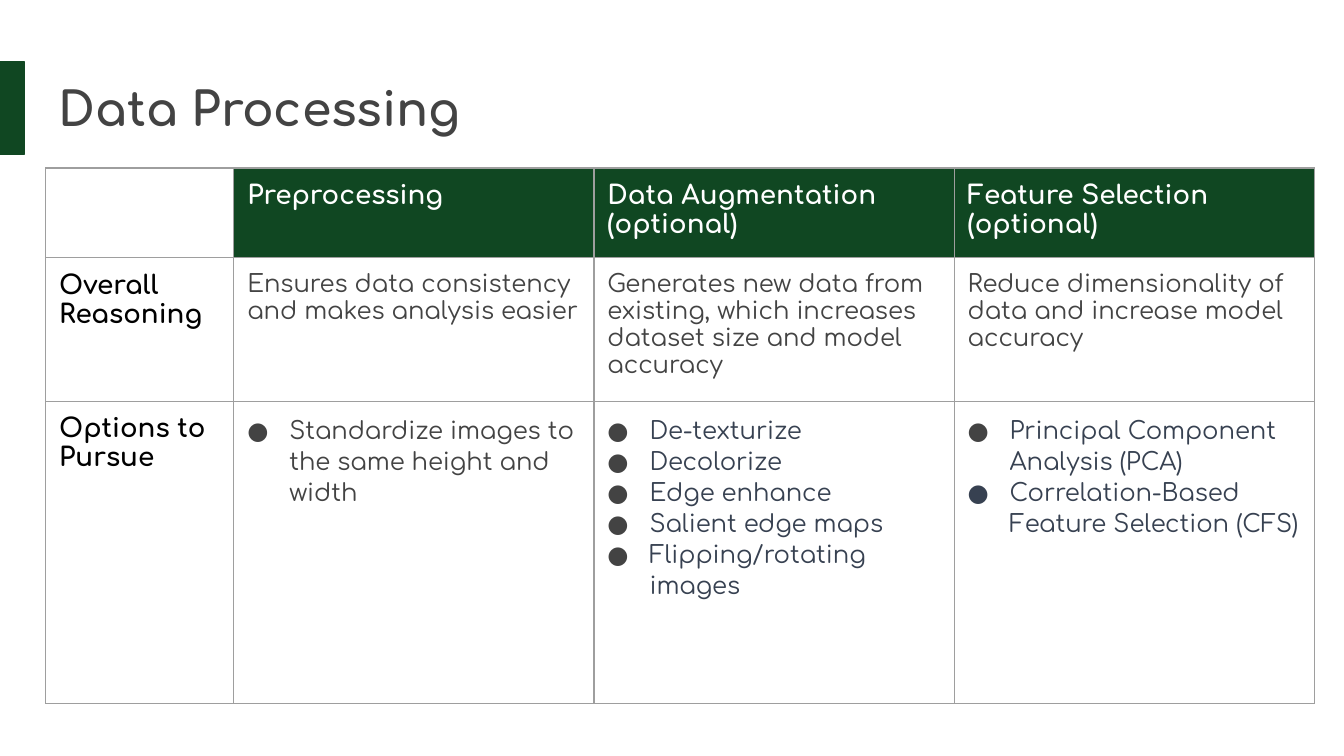
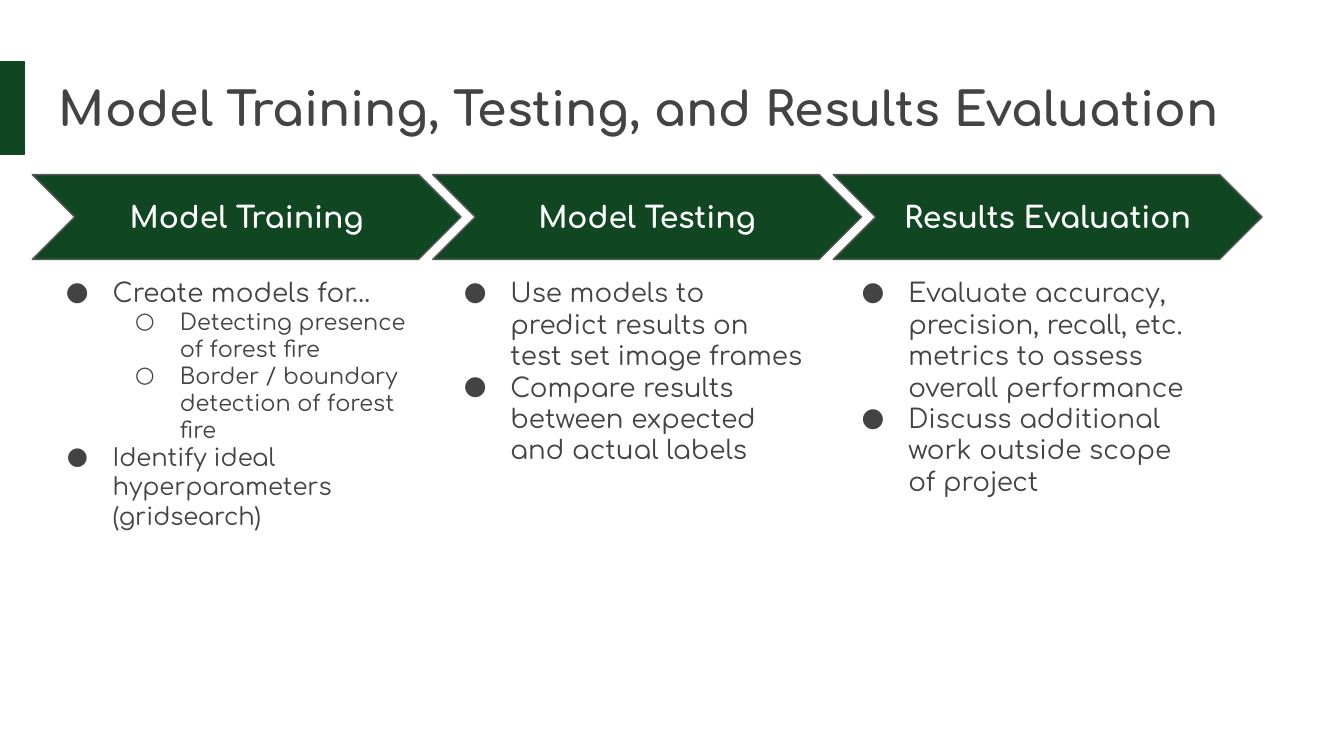
from dataclasses import dataclass

from lxml.etree import SubElement
from pptx import Presentation
from pptx.dml.color import RGBColor
from pptx.enum.shapes import MSO_SHAPE
from pptx.enum.text import MSO_ANCHOR, PP_ALIGN
from pptx.oxml.ns import qn
from pptx.util import Pt

FONT = "Comfortaa"
GREEN, GRAY, SLATE = "104722", "434343", "374151"
WHITE, BLACK, EDGE, RULE = "FFFFFF", "000000", "595959", "9E9E9E"
INSET = 7.2
LEFT = 24.48


@dataclass
class Line:
    """One paragraph with its format."""
    text: str
    size: float = 13
    color: str = GRAY
    bold: bool = False
    bullet: str = ""
    dot: str = GRAY
    margin: float = 36
    level: int = 0
    space: float = 1
    align: PP_ALIGN = PP_ALIGN.LEFT


@dataclass
class Box:
    """A place on the slide, in points."""
    left: float
    top: float
    width: float
    height: float

    def spot(self) -> list:
        return [Pt(v) for v in (self.left, self.top, self.width, self.height)]


@dataclass
class Stage:
    """One step of the process: arrow label and points below it."""
    name: str
    points: list


def rgb(code: str) -> RGBColor:
    return RGBColor.from_string(code)


def apply(item, values: dict) -> None:
    for name, value in values.items():
        setattr(item, name, value)


def mark(para, line: Line) -> None:
    """Hang a bullet; the indent grows with the text size."""
    props = para._p.get_or_add_pPr()
    props.set("marL", str(Pt(line.margin)))
    props.set("indent", str(-Pt(18 + line.size / 2)))
    tint = SubElement(props, qn("a:buClr"))
    SubElement(tint, qn("a:srgbClr"), val=line.dot)
    SubElement(props, qn("a:buFont"), typeface=FONT)
    SubElement(props, qn("a:buChar"), char=line.bullet)


def write(frame, lines: list) -> None:
    for i, line in enumerate(lines):
        para = frame.paragraphs[0] if i == 0 else frame.add_paragraph()
        apply(para, {"alignment": line.align, "level": line.level,
                     "line_spacing": line.space})
        if line.bullet:
            mark(para, line)
        run = para.add_run()
        run.text = line.text
        apply(run.font, {"name": FONT, "size": Pt(line.size), "bold": line.bold})
        run.font.color.rgb = rgb(line.color)


def fit(frame, anchor: MSO_ANCHOR) -> None:
    sides = ("left", "top", "right", "bottom")
    apply(frame, {f"margin_{side}": Pt(INSET) for side in sides})
    apply(frame, {"word_wrap": True, "vertical_anchor": anchor})


def draw(slide, kind: MSO_SHAPE, box: Box, fill: str, edge: str = "",
         lines: tuple = (), anchor: MSO_ANCHOR = MSO_ANCHOR.TOP) -> None:
    shape = slide.shapes.add_shape(kind, *box.spot())
    shape.shadow.inherit = False
    shape.fill.solid()
    shape.fill.fore_color.rgb = rgb(fill)
    if edge:
        shape.line.color.rgb = rgb(edge)
        shape.line.width = Pt(0.75)
    else:
        shape.line.fill.background()
    fit(shape.text_frame, anchor)
    write(shape.text_frame, lines)


def start(deck, title: str):
    """Add a slide with the side bar and title."""
    slide = deck.slides.add_slide(deck.slide_layouts[6])
    draw(slide, MSO_SHAPE.RECTANGLE, Box(0, 33.12, 12.96, 49.68), GREEN, GREEN)
    text = slide.shapes.add_textbox(*Box(LEFT, 35.28, 671.04, 45.36).spot())
    fit(text.text_frame, MSO_ANCHOR.TOP)
    write(text.text_frame, [Line(title, 25.2, bold=True)])
    return slide


def border(cell) -> None:
    props = cell._tc.get_or_add_tcPr()
    for side in ("lnL", "lnR", "lnT", "lnB"):
        edge = SubElement(props, qn(f"a:{side}"), w=str(Pt(0.75)))
        fill = SubElement(edge, qn("a:solidFill"))
        SubElement(fill, qn("a:srgbClr"), val=RULE)


def grid(slide, rows: list, widths: list, heights: list) -> None:
    box = Box(LEFT, 90, sum(widths), sum(heights))
    table = slide.shapes.add_table(len(rows), len(widths), *box.spot()).table
    apply(table, {"first_row": False, "horz_banding": False})
    for col, width in zip(table.columns, widths):
        col.width = Pt(width)
    for r, (row, height) in enumerate(zip(rows, heights)):
        table.rows[r].height = Pt(height)
        for c, lines in enumerate(row):
            cell = table.cell(r, c)
            border(cell)
            if lines:
                cell.fill.solid()
                cell.fill.fore_color.rgb = rgb(WHITE if r else GREEN)
            else:
                cell.fill.background()
            sides = ("left", "top", "right", "bottom")
            apply(cell, {f"margin_{side}": Pt(INSET) for side in sides})
            write(cell.text_frame, lines)


def head(*texts: str) -> list:
    return [Line(text, 14, WHITE, True) for text in texts]


def label(text: str) -> list:
    return [Line(text, 14, BLACK, True)]


def option(text: str, color: str = SLATE, dot: str = GRAY) -> Line:
    return Line(text, 13, color, bullet="●", dot=dot, margin=22.5, space=1.15)


def point(text: str, size: float = 14) -> Line:
    return Line(text, size, bullet="●")


def sub(text: str) -> Line:
    return Line(text, 12, bullet="○", margin=72, level=1)


def data(deck) -> None:
    slide = start(deck, "Data Processing")
    methods = ["De-texturize", "Decolorize", "Edge enhance",
               "Salient edge maps", "Flipping/rotating images"]
    rows = [
        [[], head("Preprocessing"), head("Data Augmentation", "(optional)"),
         head("Feature Selection", "(optional)")],
        [label("Overall Reasoning"),
         [Line("Ensures data consistency and makes analysis easier")],
         [Line("Generates new data from existing, which increases "
               "dataset size and model accuracy")],
         [Line("Reduce dimensionality of data and increase model accuracy")]],
        [label("Options to Pursue"),
         [option("Standardize images to the same height and width", GRAY)],
         [option(text) for text in methods],
         [option("Principal Component Analysis (PCA)"),
          option("Correlation-Based Feature Selection (CFS)", dot=SLATE)]],
    ]
    grid(slide, rows, [100.8] + [192.96] * 3, [46.8, 46.8, 162])


def model(deck) -> None:
    slide = start(deck, "Model Training, Testing, and Results Evaluation")
    stages = [
        Stage("Model Training", [
            point("Create models for…"),
            sub("Detecting presence of forest fire"),
            sub("Border / boundary detection of forest fire"),
            point("Identify ideal hyperparameters (gridsearch)", 13)]),
        Stage("Model Testing", [
            point("Use models to predict results on test set image frames"),
            point("Compare results between expected and actual labels")]),
        Stage("Results Evaluation", [
            point("Evaluate accuracy, precision, recall, etc. metrics "
                  "to assess overall performance"),
            point("Discuss additional work outside scope of project")]),
    ]
    # Arrows first, then the text below them
    for i, stage in enumerate(stages):
        name = Line(stage.name, 16, WHITE, True, align=PP_ALIGN.CENTER)
        draw(slide, MSO_SHAPE.CHEVRON, Box(17.28 + 214.56 * i, 93.6, 229.68, 45.36),
             GREEN, EDGE, [name], MSO_ANCHOR.MIDDLE)
    for i, stage in enumerate(stages):
        draw(slide, MSO_SHAPE.RECTANGLE, Box(17.28 + 213.12 * i, 141.12, 208.8, 151.2),
             WHITE, lines=stage.points)


def main() -> None:
    deck = Presentation()
    apply(deck, {"slide_width": Pt(720), "slide_height": Pt(405)})
    data(deck)
    model(deck)
    deck.save("out.pptx")


if __name__ == "__main__":
    main()
